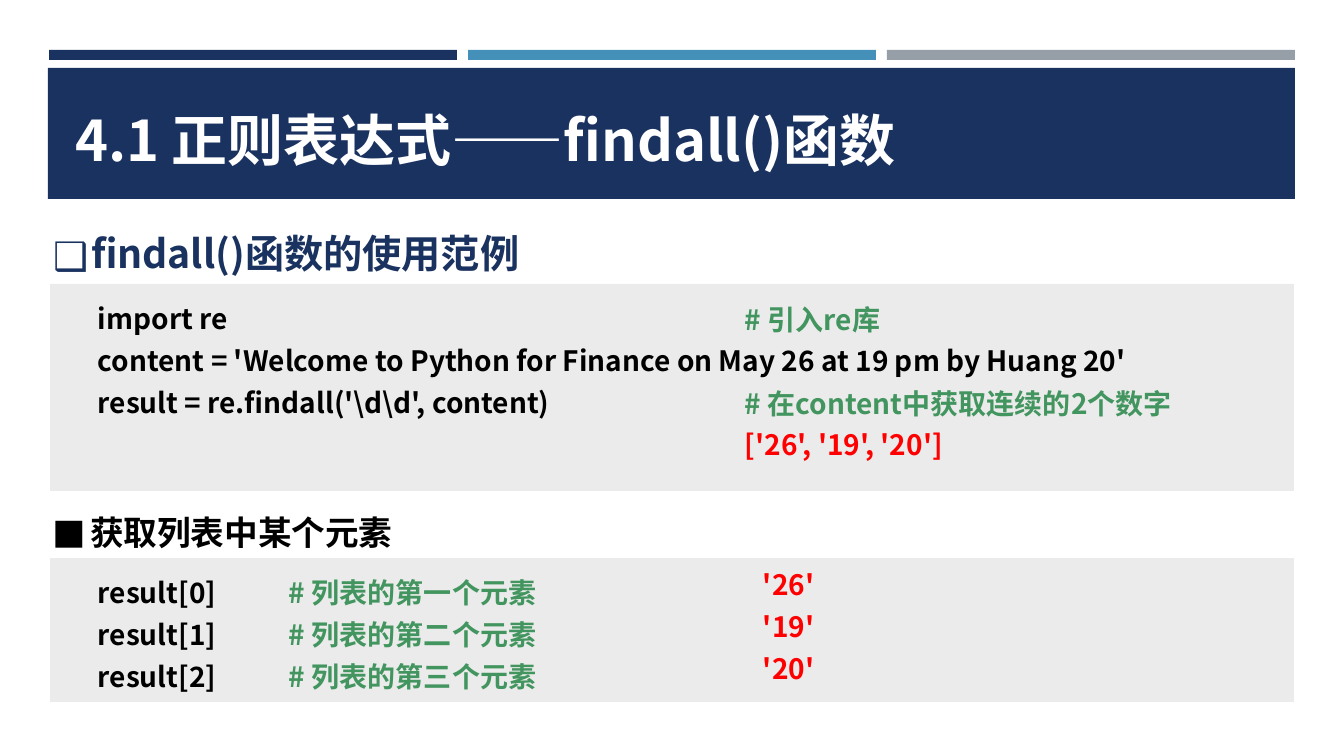
from pptx import Presentation
from pptx.dml.color import RGBColor as RGB
from pptx.enum.shapes import MSO_SHAPE as SHAPE
from pptx.enum.text import MSO_ANCHOR as ANCHOR, MSO_AUTO_SIZE as FIT, PP_ALIGN as ALIGN
from pptx.oxml.ns import qn
from pptx.util import Pt
from lxml.etree import SubElement

PX = 914400 / 100.8
THEME = {
    "font": "Noto Sans CJK SC",
    "navy": "1A3260", "blue": "4590B8", "gray": "969FA7", "panel": "EBEBEB",
    "white": "FFFFFF", "black": "000000", "green": "42955F", "red": "FF0000",
    "title": 40, "head": 28, "sub": 24, "code": 20,
}


def box(shapes, area, color):
    rect = shapes.add_shape(SHAPE.RECTANGLE, *[round(v * PX) for v in area])
    rect.shadow.inherit = False
    rect.fill.solid()
    rect.fill.fore_color.rgb = RGB.from_string(THEME[color])
    rect.line.fill.background()


def write(shape, area, text, size, color, space=None, wrap=True):
    shape.left, shape.top, shape.width, shape.height = [round(v * PX) for v in area]
    frame = shape.text_frame
    frame.word_wrap = wrap
    frame.auto_size = FIT.NONE
    frame.vertical_anchor = ANCHOR.TOP
    frame.text = text
    for para in frame.paragraphs:
        para.alignment = ALIGN.LEFT
        para.space_before = Pt(0)
        if space:
            para.line_spacing = space
        for run in para.runs:
            font = run.font
            font.name, font.size, font.bold = THEME["font"], Pt(THEME[size]), True
            font.color.rgb = RGB.from_string(THEME[color])
            SubElement(run._r.rPr, qn("a:ea"), typeface=THEME["font"])
    return frame.paragraphs


deck = Presentation()
deck.slide_width, deck.slide_height = round(1344 * PX), round(756 * PX)
slide = deck.slides.add_slide(deck.slide_layouts[3])
shapes = slide.shapes
title, head, sub = list(slide.placeholders)[:3]

# Top bars and title band
for i, color in enumerate(("navy", "blue", "gray")):
    box(shapes, (49 + 419 * i, 50, 408, 10), color)
box(shapes, (48, 68, 1247, 131), "navy")

# Title, kept in front of its band
shapes._spTree.append(title.element)
write(title, (65, 100, 1280, 78), "4.1 正则表达式——findall()函数", "title", "white")

# Bulleted headings
heads = (
    (head, (43, 201, 1250, 73), "findall()函数的使用范例", "head", "navy", "❑", 12),
    (sub, (42, 487, 1259, 65), "获取列表中某个元素", "sub", "black", "■", 0),
)
for holder, area, text, size, color, mark, after in heads:
    para = write(holder, area, text, size, color, 1.5)[0]
    para.space_after = Pt(after)
    props = para._p.get_or_add_pPr()
    indent = round(38 * PX)
    props.set("marL", str(indent))
    props.set("indent", str(-indent))
    SubElement(props, qn("a:buFont"), typeface=THEME["font"])
    SubElement(props, qn("a:buChar"), char=mark)

# Code panels: background, code, comments
CODE = r"""import re
content = 'Welcome to Python for Finance on May 26 at 19 pm by Huang 20'
result = re.findall('\d\d', content)"""
panels = (
    ((50, 284, 1244, 207), (88, 288, 1117, 133), CODE,
     (735, 289, 545, 133), "# 引入re库\n# 在content中获取连续的2个数字"),
    ((50, 558, 1244, 144), (88, 562, 1117, 131),
     "\n".join(f"result[{i}]" for i in range(3)),
     (279, 562, 308, 133),
     "\n".join(f"# 列表的第{n}个元素" for n in "一二三")),
)
notes = []
for back, left, code, right, note in panels:
    group = shapes.add_group_shape().shapes
    box(group, back, "panel")
    write(group.add_textbox(0, 0, 0, 0), left, code, "code", "black", Pt(30))
    notes.append(write(group.add_textbox(0, 0, 0, 0), right, note, "code", "green", Pt(30)))
notes[0][1].space_before = Pt(30)  # level with the third code line

# Results
results = [((735, 423, 233, 44), "['26', '19', '20']")]
results += [((753, 563 + 42 * i, 73, 44), f"'{n}'") for i, n in enumerate((26, 19, 20))]
for area, text in results:
    write(shapes.add_textbox(0, 0, 0, 0), area, text, "code", "red", wrap=False)

deck.save("out.pptx")
